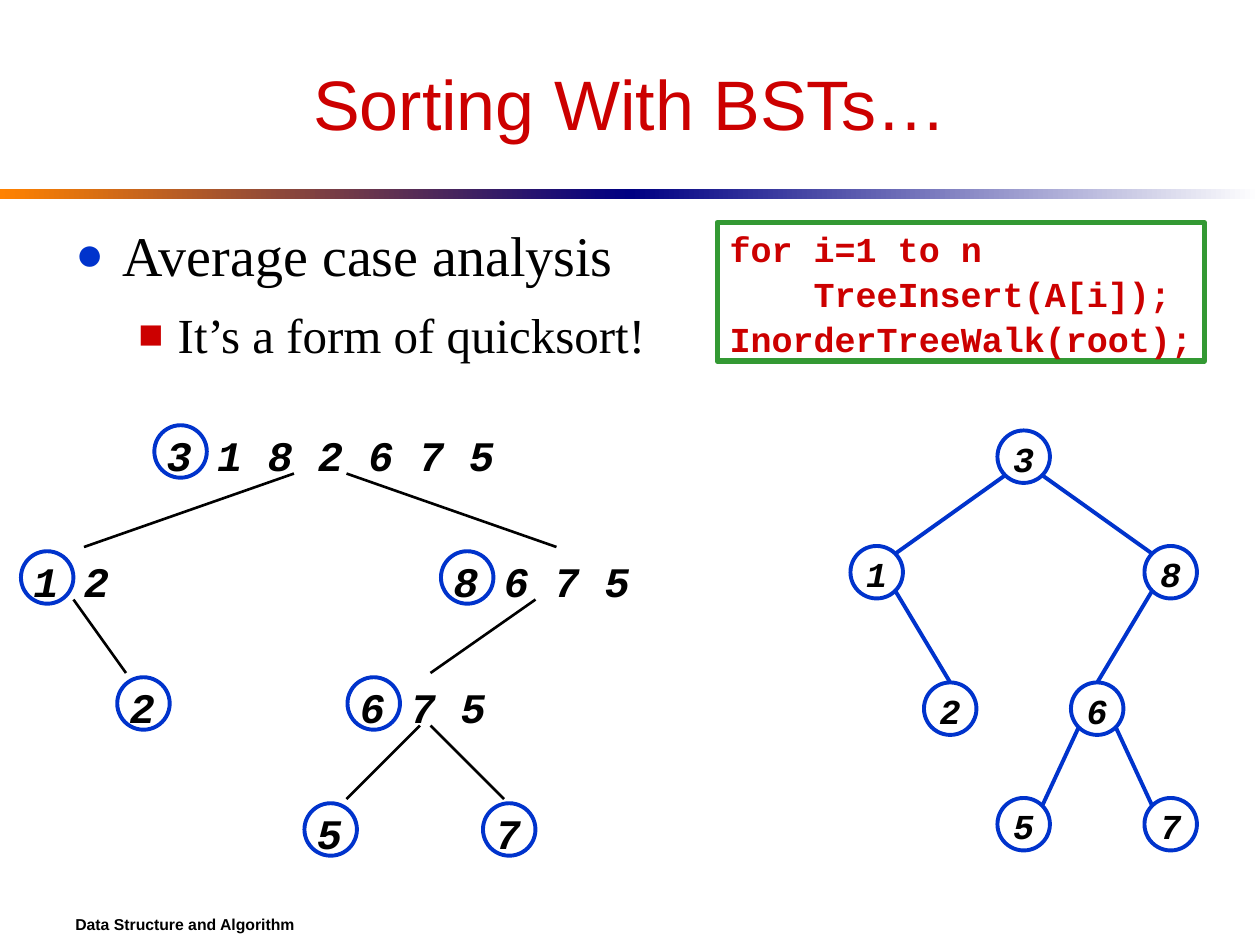
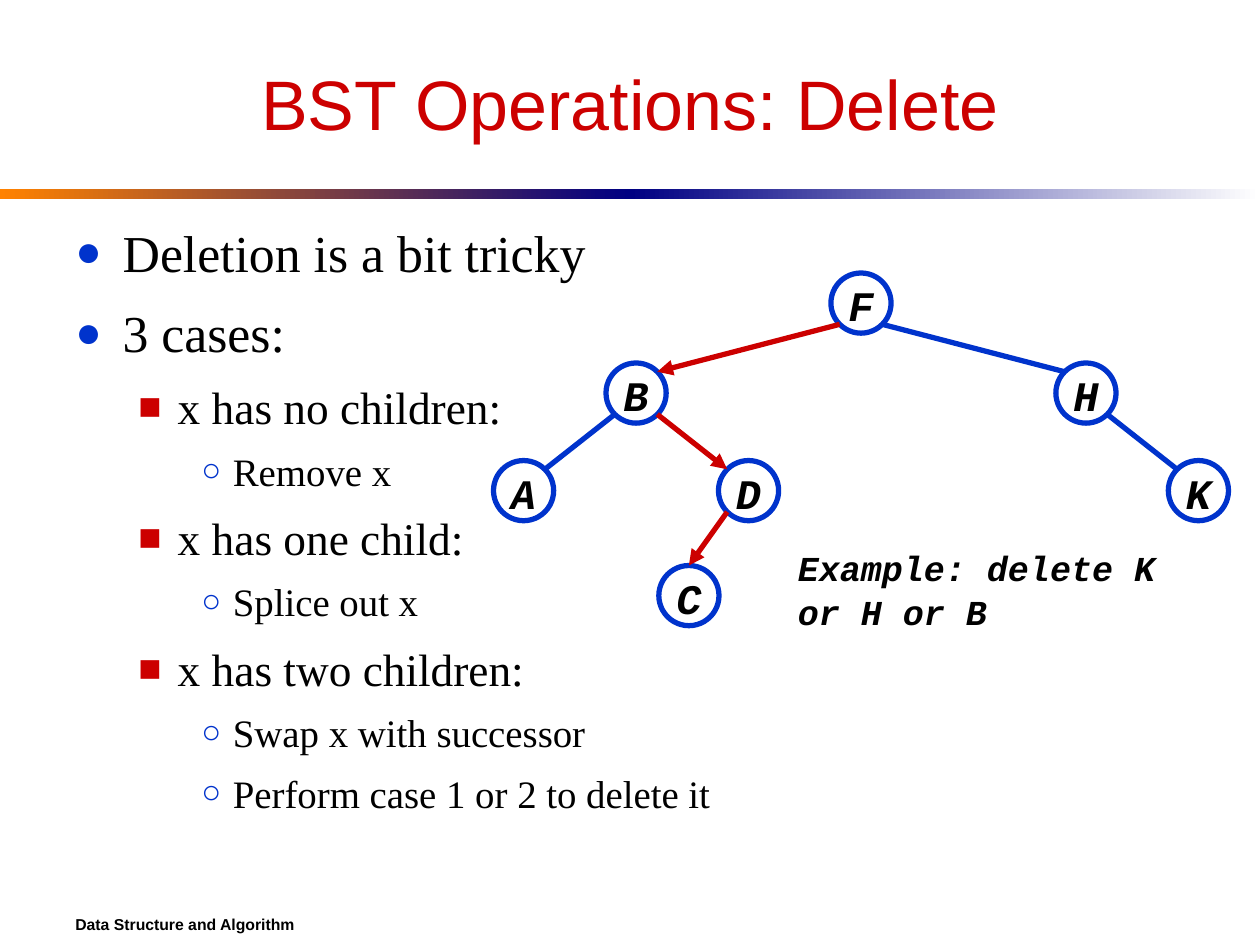
import collections
import dataclasses

import lxml.etree
import pptx
import pptx.dml.color
import pptx.enum.shapes
import pptx.enum.text
import pptx.oxml.ns
import pptx.util

Box = collections.namedtuple("Box", "left top width height")
Level = collections.namedtuple("Level", "size indent hanging before bullet color")
Edge = collections.namedtuple("Edge", "parent child top arrow", defaults=(False, False))


@dataclasses.dataclass(frozen=True)
class Theme:
    """Colours, fonts, type sizes and line widths shared by the slides."""
    red: str = "CC0000"
    blue: str = "0033CC"
    green: str = "339933"
    black: str = "000000"
    white: str = "FFFFFF"
    orange: str = "FF8200"
    navy: str = "000082"
    sans: str = "Arial"
    serif: str = "Times New Roman"
    mono: str = "Courier New"
    title: float = 40
    large: float = 24
    small: float = 20
    footer: float = 9
    thin: float = 1.5
    medium: float = 2.25
    thick: float = 3
    line_spacing: float = 1.07


THEME = Theme()
COLUMNS, ROWS = 120, 90
SLIDE_WIDTH, SLIDE_HEIGHT = pptx.util.Inches(10), pptx.util.Inches(7.5)
LEVELS = (
    Level(32, 4.5, 4.5, 8, "●", THEME.blue),
    Level(28, 9.75, 3.75, 7, "■", THEME.red),
    Level(24, 15, 3, 6, "○", THEME.blue),
)
HANDWRITTEN = dict(font=THEME.mono, bold=True, italic=True, wrap=False)


def across(columns):
    """Turn grid columns into a length."""
    return round(SLIDE_WIDTH * columns / COLUMNS)


def down(rows):
    """Turn grid rows into a length."""
    return round(SLIDE_HEIGHT * rows / ROWS)


def place(box):
    """Turn a grid box into left, top, width and height."""
    return across(box.left), down(box.top), across(box.width), down(box.height)


def rgb(color):
    """Turn a hexadecimal string into a colour."""
    return pptx.dml.color.RGBColor.from_string(color)


def set_indent(paragraph, indent, hanging=0):
    """Indent a paragraph by grid columns."""
    properties = paragraph._p.get_or_add_pPr()
    properties.set("marL", str(across(indent)))
    properties.set("indent", str(-across(hanging)))
    return properties


def set_bullet(paragraph, level):
    """Give a paragraph the bullet, indent and spacing of its level."""
    paragraph.space_before = pptx.util.Pt(level.before)
    properties = set_indent(paragraph, level.indent, level.hanging)
    qualified = pptx.oxml.ns.qn
    color = lxml.etree.SubElement(properties, qualified("a:buClr"))
    lxml.etree.SubElement(color, qualified("a:srgbClr"), val=level.color)
    lxml.etree.SubElement(properties, qualified("a:buSzPct"), val="85000")
    lxml.etree.SubElement(properties, qualified("a:buFont"), typeface=THEME.sans)
    lxml.etree.SubElement(properties, qualified("a:buChar"), char=level.bullet)


def write(shape, *lines, font=THEME.sans, size=THEME.small, color=THEME.black,
          bold=False, italic=False, align="LEFT", anchor="MIDDLE", wrap=True):
    """Write formatted lines into a shape and return their paragraphs."""
    frame = shape.text_frame
    frame.word_wrap = wrap
    frame.vertical_anchor = getattr(pptx.enum.text.MSO_ANCHOR, anchor)
    for line in lines[1:]:
        frame.add_paragraph()
    for paragraph, line in zip(frame.paragraphs, lines):
        paragraph.text = line
        paragraph.alignment = getattr(pptx.enum.text.PP_ALIGN, align)
        paragraph.line_spacing = THEME.line_spacing
        for run in paragraph.runs:
            run.font.name = font
            run.font.size = pptx.util.Pt(size)
            run.font.color.rgb = rgb(color)
            run.font.bold = bold
            run.font.italic = italic
    return frame.paragraphs


def add_text(slide, box, *lines, **text_format):
    """Add a text box holding formatted lines."""
    return write(slide.shapes.add_textbox(*place(box)), *lines, **text_format)


def add_outline(slide, kind, box, color, width, fill=None):
    """Add an outlined preset shape, filled only when a fill is given."""
    preset = getattr(pptx.enum.shapes.MSO_SHAPE, kind)
    shape = slide.shapes.add_shape(preset, *place(box))
    shape.shadow.inherit = False
    shape.line.color.rgb = rgb(color)
    shape.line.width = pptx.util.Pt(width)
    if fill:
        shape.fill.solid()
        shape.fill.fore_color.rgb = rgb(fill)
    else:
        shape.fill.background()
    return shape


def add_line(slide, start, end, color, width, arrow=False):
    """Add a straight line between grid points, with an optional arrowhead."""
    connector = slide.shapes.add_connector(
        pptx.enum.shapes.MSO_CONNECTOR.STRAIGHT,
        across(start[0]), down(start[1]), across(end[0]), down(end[1]))
    connector.line.color.rgb = rgb(color)
    connector.line.width = pptx.util.Pt(width)
    properties = connector.element.spPr
    qualified = pptx.oxml.ns.qn
    if arrow:
        outline = properties.find(qualified("a:ln"))
        lxml.etree.SubElement(outline, qualified("a:tailEnd"), type="triangle")
    lxml.etree.SubElement(properties, qualified("a:effectLst"))


def add_band(slide, box):
    """Add the two-part gradient band below the title."""
    half = box.width / 2
    for part, colors in enumerate(((THEME.orange, THEME.navy), (THEME.navy, THEME.white))):
        area = box._replace(left=box.left + part * half, width=half)
        shape = slide.shapes.add_shape(pptx.enum.shapes.MSO_SHAPE.RECTANGLE, *place(area))
        shape.shadow.inherit = False
        shape.line.fill.background()
        shape.fill.gradient()
        shape.fill.gradient_angle = 0
        for stop, color in zip(shape.fill.gradient_stops, colors):
            stop.color.rgb = rgb(color)


def add_frame(presentation, title):
    """Add a slide with its title, band and footer."""
    slide = presentation.slides.add_slide(presentation.slide_layouts[6])
    add_band(slide, Box(0, 18, COLUMNS, 1))
    add_text(slide, Box(6, 86, 108, 4), "Data Structure and Algorithm",
             size=THEME.footer, bold=True)
    add_text(slide, Box(6, 3, 108, 13), title,
             size=THEME.title, color=THEME.red, align="CENTER")
    return slide


def add_bullets(slide, box, items, scale=1):
    """Add an outline of (level, text) items at a share of the full type size."""
    paragraphs = add_text(slide, box, *(text for _, text in items),
                          font=THEME.serif, anchor="TOP")
    for paragraph, (number, _) in zip(paragraphs, items):
        level = LEVELS[number]
        paragraph.runs[0].font.size = pptx.util.Pt(round(level.size * scale, 1))
        set_bullet(paragraph, level)


def add_code(slide, box):
    """Add the framed sorting procedure."""
    shape = add_outline(slide, "RECTANGLE", box, THEME.green, THEME.thick)
    paragraphs = write(shape, "for i=1 to n", "TreeInsert(A[i]);", "InorderTreeWalk(root);",
                       font=THEME.mono, color=THEME.red, bold=True, wrap=False)
    set_indent(paragraphs[1], 8)


def add_partitions(slide, box):
    """Add the quicksort partitions with circled pivots and the lines between them."""
    character, circle, step, line_rise = 2.4, 5, 12, 7
    partitions = (("3 1 8 2 6 7 5", 12.7, 0), ("1 2", 0, 1), ("8 6 7 5", 40, 1),
                  ("2", 9.17, 2), ("6 7 5", 31.1, 2), ("5", 27, 3), ("7", 44, 3))
    links = ((26, 6, 0), (31, 51, 0), (5, 10, 1), (49, 39, 1), (38, 31, 2), (39, 46, 2))
    for text, column, row in partitions:
        left, top = box.left + column, box.top + step * row
        add_text(slide, Box(left, top, character * (len(text) + 1), 6), text,
                 size=THEME.large, **HANDWRITTEN)
        add_outline(slide, "OVAL", Box(left, top + 0.4, circle, circle),
                    THEME.blue, THEME.medium)
    for start, end, row in links:
        bottom = box.top + step * (row + 1)
        add_line(slide, (box.left + start, bottom - line_rise), (box.left + end, bottom),
                 THEME.black, THEME.thin)


def add_tree(slide, box, nodes, edges, rows, size, width, type_size, fill=None):
    """Add a binary tree; nodes map labels to a column and a row of the box."""
    step = (box.width - size) / max(column for column, _ in nodes.values())
    corner = size / 2 * 0.5 ** 0.5
    centers = {}
    for label, (column, row) in nodes.items():
        area = Box(box.left + column * step, box.top + rows[row], size, size)
        centers[label] = area.left + size / 2, area.top + size / 2
        shape = add_outline(slide, "OVAL", area, THEME.blue, width, fill)
        write(shape, label, size=type_size, align="CENTER", **HANDWRITTEN)
    for edge in edges:
        (start_x, start_y), (end_x, end_y) = centers[edge.parent], centers[edge.child]
        side = corner if end_x > start_x else -corner
        end = (end_x, end_y - size / 2) if edge.top else (end_x - side, end_y - corner)
        add_line(slide, (start_x + side, start_y + corner), end,
                 THEME.red if edge.arrow else THEME.blue, width, edge.arrow)


def build_sorting(presentation):
    """Build the slide that compares tree sorting with quicksort."""
    slide = add_frame(presentation, "Sorting With BSTs…")
    add_bullets(slide, Box(6, 20, 108, 57),
                ((0, "Average case analysis"), (1, "It’s a form of quicksort!")))
    add_code(slide, Box(68.3, 21.2, 46.4, 13.2))
    add_partitions(slide, Box(2, 40.1, 51, 42))
    nodes = {"3": (2, 0), "1": (0, 1), "8": (4, 1), "2": (1, 2),
             "6": (3, 2), "5": (2, 3), "7": (4, 3)}
    edges = (Edge("3", "1"), Edge("3", "8"), Edge("1", "2", top=True),
             Edge("8", "6", top=True), Edge("6", "5"), Edge("6", "7"))
    add_tree(slide, Box(81, 41, 33, 40), nodes, edges, rows=(0, 11, 24, 35),
             size=5, width=THEME.medium, type_size=THEME.small)


def build_delete(presentation):
    """Build the slide on the three cases of deletion."""
    slide = add_frame(presentation, "BST Operations: Delete")
    items = ((0, "Deletion is a bit tricky"), (0, "3 cases:"),
             (1, "x has no children:"), (2, "Remove x"),
             (1, "x has one child:"), (2, "Splice out x"),
             (1, "x has two children:"), (2, "Swap x with successor"),
             (2, "Perform case 1 or 2 to delete it"))
    add_bullets(slide, Box(6, 20, 108, 57), items, scale=0.925)
    nodes = {"F": (3, 0), "B": (1, 1), "H": (5, 1), "K": (6, 2),
             "D": (2, 2), "A": (0, 2), "C": (1.47, 3)}
    edges = (Edge("B", "A"), Edge("F", "H"), Edge("H", "K"),
             Edge("F", "B", arrow=True), Edge("B", "D", arrow=True),
             Edge("D", "C", top=True, arrow=True))
    add_tree(slide, Box(47, 26, 70, 33.6), nodes, edges, rows=(0, 8.57, 17.86, 27.86),
             size=5.73, width=THEME.thick, type_size=THEME.large, fill=THEME.white)
    add_text(slide, Box(74.8, 51.4, 36.5, 9.2), "Example: delete K\vor H or B", **HANDWRITTEN)


def main():
    """Build and save the presentation."""
    presentation = pptx.Presentation()
    presentation.slide_width, presentation.slide_height = SLIDE_WIDTH, SLIDE_HEIGHT
    build_sorting(presentation)
    build_delete(presentation)
    presentation.save("out.pptx")


main()
